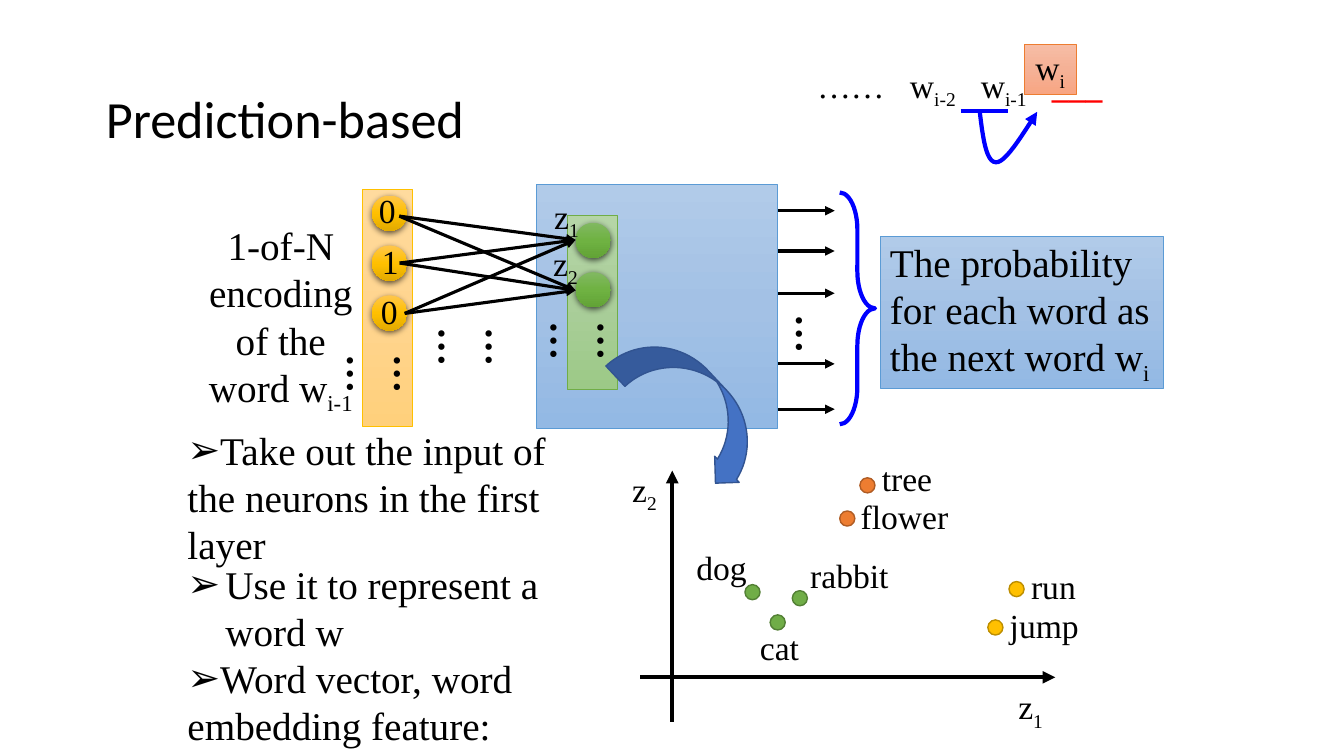
"""Build a slide explaining prediction-based word embedding."""
import copy
from dataclasses import dataclass

import lxml.etree
import pptx
import pptx.dml.color
import pptx.enum.shapes
import pptx.enum.text
import pptx.oxml.ns
import pptx.util

Pt = pptx.util.Pt
qualified = pptx.oxml.ns.qn
Kind = pptx.enum.shapes.MSO_SHAPE
Align = pptx.enum.text.PP_ALIGN
Anchor = pptx.enum.text.MSO_ANCHOR
SERIF = "Times New Roman"
COLORS = {
    "black": "000000", "blue": "0000FF", "red": "FF0000",
    "sky line": "5B9BD5", "gold line": "FFC000", "leaf line": "70AD47", "coral line": "ED7D31",
    "animal": "70AD47", "animal edge": "538035", "verb": "FFC000", "verb edge": "BD8E00",
    "plant": "ED7D31", "plant edge": "AF5C24", "arrow": "4472C4", "arrow edge": "325491",
}
GRADIENTS = {
    "sky": ("B1CBE9", "A3C1E5", "93B9E4"), "gold": ("FFDB9E", "FFD590", "FFD07C"),
    "leaf": ("B5D5A7", "AACE9A", "9CC987"), "coral": ("F7BDA5", "F5B196", "F8A582"),
    "input": ("FFC64B", "FFC000", "E3AB00"), "hidden": ("81B861", "6FB242", "62A336"),
}


@dataclass
class Box:
    left: float
    top: float
    width: float
    height: float

    def lengths(self) -> tuple:
        return Pt(self.left), Pt(self.top), Pt(self.width), Pt(self.height)


@dataclass
class Label:
    text: str
    box: Box
    size: float = 24
    align: Align = Align.LEFT


@dataclass
class Word:
    text: str
    group: str
    dot: tuple[float, float]
    label: Box


WORDS = [
    Word("dog", "animal", (532.1, 417.6), Box(490.3, 387.4, 57, 36)),
    Word("cat", "animal", (550.1, 439.2), Box(535.7, 444.2, 57, 36)),
    Word("rabbit", "animal", (565.9, 421.9), Box(571.7, 393.1, 78, 36)),
    Word("jump", "verb", (705.6, 442.8), Box(714.2, 428.4, 92, 36)),
    Word("run", "verb", (720.7, 415.4), Box(729.4, 401, 92, 36)),
    Word("flower", "plant", (599.8, 365), Box(607.7, 350.6, 92, 36)),
    Word("tree", "plant", (614.2, 341.3), Box(622.8, 323.3, 92, 36)),
]
POINTS = [
    Label("Take out the input of the neurons in the first layer", Box(126.7, 301, 290.2, 108.7), 28),
    Label("Use it to represent a word w", Box(126.7, 396.7, 275.8, 74.9), 28),
    Label("Word vector, word embedding feature:", Box(126.7, 463.7, 313.9, 74.9), 28),
]
AXIS_LABELS = [
    Label("z|1", Box(712.1, 486.7, 48.2, 36), align=Align.CENTER),
    Label("z|2", Box(436.3, 331.2, 48.2, 36), align=Align.CENTER),
]
NEURON_LABELS = [
    Label("0", Box(263.5, 131.8, 31, 36)), Label("1", Box(265.7, 168.5, 31, 36)),
    Label("0", Box(265, 204.5, 31, 36)),
    Label("z|1", Box(388.8, 136.1, 43.2, 36)), Label("z|2", Box(388.1, 169.9, 43.2, 36)),
]
ENCODING = Label("1-of-N encoding\nof the word w|i-1", Box(139, 154.8, 123.1, 143.3), 28, Align.CENTER)
PROBABILITY = Label("The probability for each word as the next word w|i", Box(628.6, 168.5, 202.3, 108.7), 28)
NEXT_WORD = Label("w|i", Box(731.5, 31.7, 37.4, 36), align=Align.CENTER)
SENTENCE = Label("……\tw|i-2|\tw|i-1|\t", Box(576.7, 42.5, 272.2, 36))
SENTENCE_TABS = (66.2, 116.8, 167.6)
INPUT_ENDS = [(285.2, 154.4), (285.5, 187.9), (289.1, 223.9)]
HIDDEN_ENDS = [(411.1, 171.4), (411.1, 207.4)]
CURVES = [
    ((699.8, 79.2), (702, 97.2), (704.2, 115.9), (711.4, 115.9)),
    ((711.4, 115.9), (717.8, 116.6), (729.4, 97.9), (740.9, 79.9)),
]


def color(name: str) -> pptx.dml.color.RGBColor:
    return pptx.dml.color.RGBColor.from_string(COLORS.get(name, name))


def add_child(parent, tag: str, **attributes: str):
    return lxml.etree.SubElement(parent, qualified(tag), **attributes)


def style_paragraph(paragraph, label: Label, bold: bool = False, font: str = SERIF) -> None:
    paragraph.alignment = label.align
    paragraph.font.name, paragraph.font.size, paragraph.font.bold = font, Pt(label.size), bold
    paragraph.font.color.rgb = color("black")


def write(frame, label: Label, bold: bool = False) -> None:
    """Fill a frame; every second part between bars is a subscript."""
    frame.word_wrap = True
    frame.text = "\n".join(" " for _ in label.text.split("\n"))
    for paragraph, line in zip(frame.paragraphs, label.text.split("\n")):
        paragraph.clear()
        style_paragraph(paragraph, label, bold)
        for index, part in enumerate(line.split("|")):
            run = paragraph.add_run()
            run.text = part
            if index % 2:
                run._r.get_or_add_rPr().set("baseline", "-25000")


def add_label(slide, label: Label, bold: bool = False):
    shape = slide.shapes.add_textbox(*label.box.lengths())
    write(shape.text_frame, label, bold)
    return shape


def add_dots(slide, box: Box, text: str = "……") -> None:
    add_label(slide, Label(text, box, 28), bold=True).rotation = 90


def add_figure(slide, kind: Kind, box: Box, fill: str = "", line: str = "", weight: float = 1):
    shape = slide.shapes.add_shape(kind, *box.lengths())
    shape.shadow.inherit = False
    if fill in GRADIENTS:
        shape.fill.gradient()
        shape.fill.gradient_angle = 270
        stops = shape._element.spPr.find(".//" + qualified("a:gsLst"))
        stops.insert(1, copy.deepcopy(stops[0]))
        stops[1].set("pos", "50000")
        for stop, shade in zip(shape.fill.gradient_stops, GRADIENTS[fill]):
            stop.color.rgb = color(shade)
    elif fill:
        shape.fill.solid()
        shape.fill.fore_color.rgb = color(fill)
    else:
        shape.fill.background()
    if line:
        shape.line.color.rgb, shape.line.width = color(line), Pt(weight)
    else:
        shape.line.fill.background()
    return shape


def add_panel(slide, box: Box, theme: str):
    return add_figure(slide, Kind.RECTANGLE, box, theme, f"{theme} line", 0.5)


def add_neuron(slide, left: float, top: float, fill: str) -> None:
    shape = add_figure(slide, Kind.OVAL, Box(left, top, 25.2, 25.2), fill)
    effects = shape._element.spPr.find(qualified("a:effectLst"))
    shadow = add_child(effects, "a:outerShdw", blurRad=str(Pt(4.5)), dist=str(Pt(1.5)),
                       dir="5400000", algn="ctr", rotWithShape="0")
    add_child(add_child(shadow, "a:srgbClr", val=COLORS["black"]), "a:alpha", val="63000")


def add_arrowhead(shape) -> None:
    add_child(shape.line._get_or_add_ln(), "a:tailEnd", type="triangle")


def add_line(slide, start: tuple, end: tuple, weight: float, name: str = "black", arrow: bool = True) -> None:
    ends = [Pt(length) for length in (*start, *end)]
    connector = slide.shapes.add_connector(pptx.enum.shapes.MSO_CONNECTOR.STRAIGHT, *ends)
    connector.line.color.rgb, connector.line.width = color(name), Pt(weight)
    if arrow:
        add_arrowhead(connector)
    add_child(connector._element.spPr, "a:effectLst")


def add_curve(slide, steps: int = 12) -> None:
    points = []
    for a, b, c, d in CURVES:
        for t in (step / steps for step in range(1, steps + 1)):
            weights = ((1 - t) ** 3, 3 * t * (1 - t) ** 2, 3 * t * t * (1 - t), t ** 3)
            points.append(tuple(Pt(sum(w * p[axis] for w, p in zip(weights, (a, b, c, d)))) for axis in (0, 1)))
    builder = slide.shapes.build_freeform(*(Pt(value) for value in CURVES[0][0]))
    builder.add_line_segments(points, close=False)
    shape = builder.convert_to_shape()
    shape.shadow.inherit = False
    shape.fill.background()
    shape.line.color.rgb, shape.line.width = color("blue"), Pt(3)
    add_arrowhead(shape)


def place(shape, box: Box):
    shape.left, shape.top, shape.width, shape.height = box.lengths()
    shape.text_frame.auto_size = pptx.enum.text.MSO_AUTO_SIZE.NONE
    return shape.text_frame


def fill_placeholders(slide) -> None:
    title, *bodies = slide.placeholders
    heading = Label("Prediction-based", Box(75.6, 66.2, 880, 41), 37.3)
    frame = place(title, heading.box)
    frame.text, frame.vertical_anchor = heading.text, Anchor.MIDDLE
    frame.margin_left = frame.margin_right = frame.margin_top = frame.margin_bottom = 0
    style_paragraph(frame.paragraphs[0], heading, font="Calibri")
    frame.paragraphs[0].line_spacing = 0.9
    for body, point in zip(bodies, POINTS):
        frame = place(body, point.box)
        frame.vertical_anchor = Anchor.TOP
        properties = frame.paragraphs[0]._p.get_or_add_pPr()
        properties.set("marL", str(Pt(22.5)))
        properties.set("indent", str(-Pt(22.5)))
        write(frame, point)
        properties = frame.paragraphs[0]._p.pPr
        properties.insert(0, properties.makeelement(qualified("a:buChar"), {"char": "➢"}))
        frame.paragraphs[0].space_before = Pt(0)
    for body in bodies[len(POINTS):]:
        body._element.getparent().remove(body._element)


def draw_network(slide) -> None:
    brace = add_figure(slide, Kind.RIGHT_BRACE, Box(599.8, 137.5, 25.2, 165.6), line="blue", weight=3)
    brace.adjustments[0] = 1.05
    for top in (150.5, 179.3, 209.5, 259.9, 292.3):
        add_line(slide, (536.4, top), (596.2, top), 2.25)
    add_dots(slide, Box(559.4, 217.4, 41, 41), "…")
    add_panel(slide, Box(383, 131.8, 172.1, 174.2), "sky")
    add_label(slide, ENCODING)
    add_panel(slide, Box(258.8, 135, 36, 169.2), "gold")
    add_panel(slide, Box(405, 153.7, 36, 124.6), "leaf")
    for row in range(3):
        add_neuron(slide, 265.7, 139.7 + 35.6 * row, "input")
    for row in range(2):
        add_neuron(slide, 411.1, 159.1 + 35.3 * row, "hidden")
    for left, top in ((259.2, 259.2), (404.6, 235.4), (324.7, 239.8)):
        add_dots(slide, Box(left, top, 67, 41))
    for label in NEURON_LABELS:
        add_label(slide, label)
    write(add_panel(slide, PROBABILITY.box, "sky").text_frame, PROBABILITY)
    for end in HIDDEN_ENDS:
        for start in INPUT_ENDS:
            add_line(slide, start, end, 2.25)


def draw_word_map(slide) -> None:
    add_line(slide, (457.2, 483.8), (753.8, 483.8), 3)
    add_line(slide, (480.2, 515.5), (480.2, 336.2), 3)
    for label in AXIS_LABELS:
        add_label(slide, label)
    for word in WORDS:
        add_figure(slide, Kind.OVAL, Box(*word.dot, 10.8, 10.8), word.group, f"{word.group} edge")
        add_label(slide, Label(word.text, word.label))
    arrow = add_figure(slide, Kind.CURVED_LEFT_ARROW, Box(469.4, 226.8, 51.1, 127.4), "arrow", "arrow edge")
    arrow.rotation = 316.9
    arrow.adjustments[0] = 0.39


def draw_sentence(slide) -> None:
    paragraph = add_label(slide, SENTENCE).text_frame.paragraphs[0]
    tabs = paragraph._p.pPr.makeelement(qualified("a:tabLst"), {})
    paragraph._p.pPr.insert(0, tabs)
    for position in SENTENCE_TABS:
        add_child(tabs, "a:tab", pos=str(Pt(position)), algn="l")
    blank = paragraph.add_run()
    blank.text, blank.font.bold = "___", True
    blank.font.color.rgb = color("red")
    add_line(slide, (686.2, 79.2), (720, 79.2), 3, "blue", arrow=False)
    add_curve(slide)
    write(add_panel(slide, NEXT_WORD.box, "coral").text_frame, NEXT_WORD)


def main() -> None:
    presentation = pptx.Presentation()
    presentation.slide_width, presentation.slide_height = Pt(960), Pt(540)
    slide = presentation.slides.add_slide(presentation.slide_layouts.get_by_name("Comparison"))
    fill_placeholders(slide)
    draw_network(slide)
    draw_word_map(slide)
    draw_sentence(slide)
    presentation.save("out.pptx")


if __name__ == "__main__":
    main()
